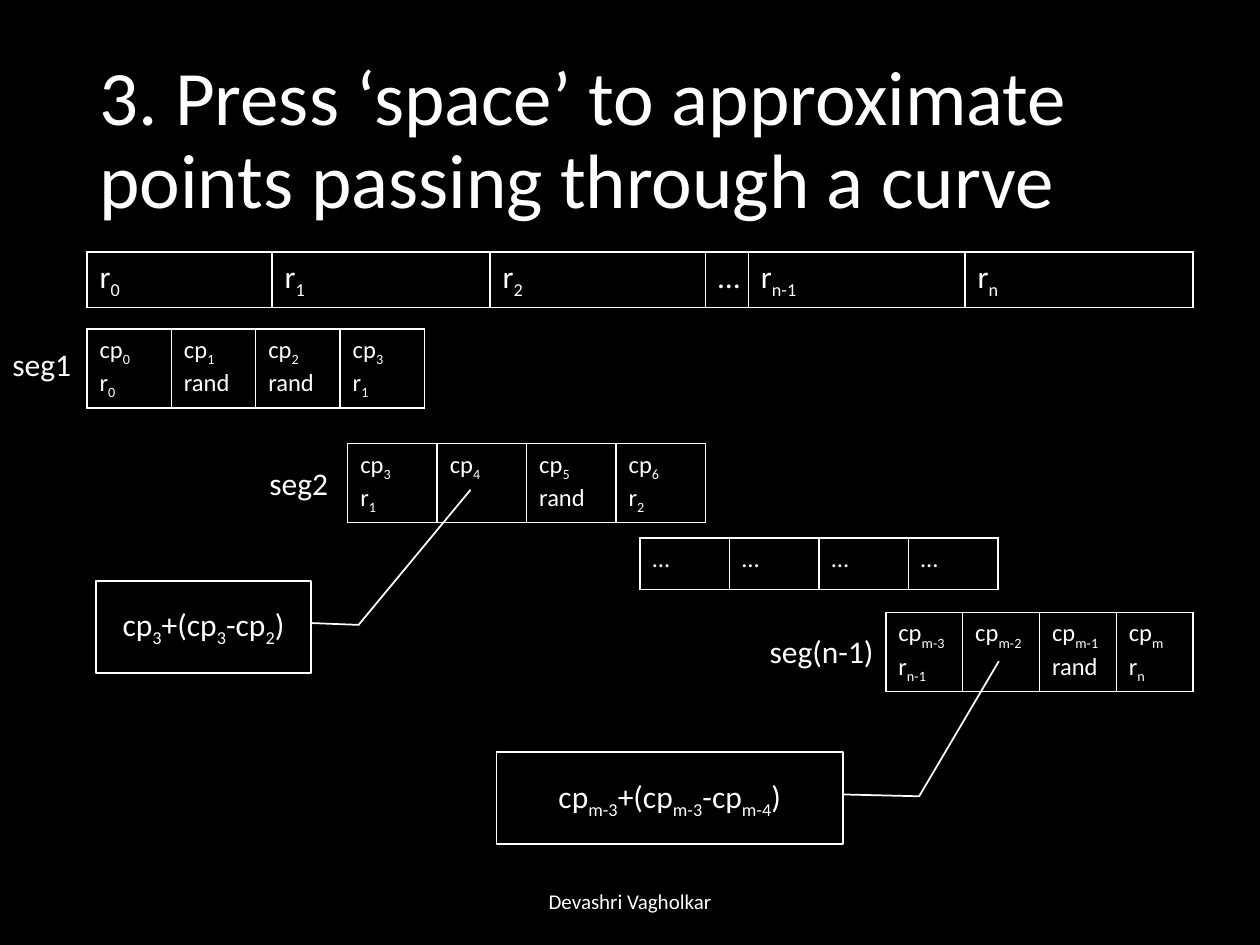
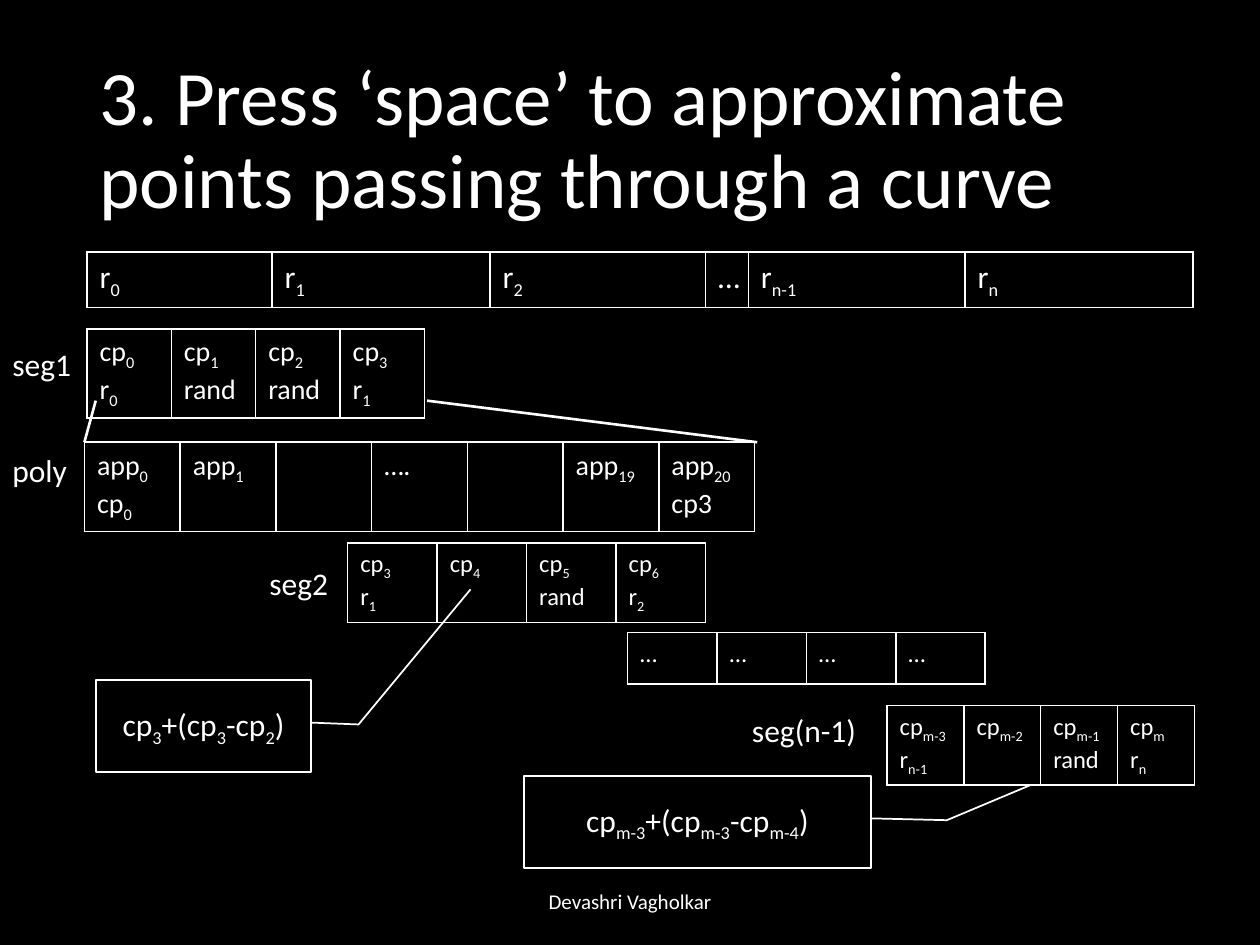
"""Builds two slides on approximating a curve with segments of control points."""
from lxml.etree import SubElement
from pptx import Presentation
from pptx.dml.color import RGBColor
from pptx.enum.shapes import MSO_CONNECTOR, MSO_SHAPE
from pptx.enum.text import MSO_ANCHOR, PP_ALIGN
from pptx.oxml.ns import qn
from pptx.util import Inches, Pt

COLORS = {"back": "000000", "ink": "FFFFFF"}
BACK, INK = [RGBColor.from_string(c) for c in COLORS.values()]
MIDDLE = {"vertical_anchor": MSO_ANCHOR.MIDDLE, "word_wrap": True}
STYLES = {
    "title": {"size": 44, "frame": MIDDLE, "para": {"line_spacing": 0.9}},
    "footer": {"size": 12, "frame": MIDDLE, "para": {"alignment": PP_ALIGN.CENTER}},
    "label": {"size": 18, "frame": {"word_wrap": False}, "para": {}},
    "callout": {"size": 18, "frame": MIDDLE, "para": {"alignment": PP_ALIGN.CENTER}},
    "big": {"size": 18, "frame": {}, "para": {}},
    "mid": {"size": 16, "frame": {}, "para": {}},
    "small": {"size": 14, "frame": {}, "para": {}},
}
COMMON = [
    ("title", 0.69, 0.4, 8.62, 1.45,
     "3. Press ‘space’ to approximate points passing through a curve"),
    ("footer", 3.31, 6.95, 3.38, 0.4, "Devashri Vagholkar"),
    ("label", 0, 2.69, 0.67, 0.4, "seg1"),
]
POINTS = ["r_0_", "r_1_", "r_2_", "…", "r_n-1_", "r_n_"]
WIDTHS = [1.47, 1.73, 1.71, 0.34, 1.72, 1.81]
SEG1 = ["cp_0_|r_0_", "cp_1_|rand", "cp_2_|rand", "cp_3_|r_1_"]
SEG2 = ["cp_3_|r_1_", "cp_4_", "cp_5_|rand", "cp_6_|r_2_"]
DOTS = ["…"] * 4
LAST = ["cp_m-3_|r_n-1_", "cp_m-2_", "cp_m-1_|rand", "cp_m_|r_n_"]
POLY = ["app_0_|cp_0_", "app_1_", "", "….", "", "app_19_", "app_20_|cp3"]
NEAR = "cp_3_+(cp_3_-cp_2_)"
FAR = "cp_m-3_+(cp_m-3_-cp_m-4_)"
SLIDES = [
    {
        "grids": [
            ("small", 0.69, 2.61, 0.67, 0.57, SEG1),
            ("small", 2.76, 3.52, 0.71, 0.57, SEG2),
            ("small", 7.03, 4.86, 0.61, 0.57, LAST),
            ("small", 5.08, 4.27, 0.71, 0.41, DOTS),
        ],
        "labels": [
            ("label", 2.04, 3.63, 0.67, 0.4, "seg2"),
            ("label", 6.01, 4.97, 1.04, 0.4, "seg(n-1)"),
        ],
        "callouts": [
            (0.76, 4.61, 1.71, NEAR, -0.99, 1.74),
            (3.94, 5.97, 2.75, FAR, -0.99, 1.45),
        ],
        "lines": [],
    },
    {
        "grids": [
            ("mid", 0.69, 2.61, 0.67, 0.63, SEG1),
            ("small", 2.76, 4.31, 0.71, 0.57, SEG2),
            ("small", 7.04, 5.6, 0.61, 0.57, LAST),
            ("small", 4.98, 5.02, 0.71, 0.41, DOTS),
            ("mid", 0.67, 3.51, 0.76, 0.63, POLY),
        ],
        "labels": [
            ("label", 2.04, 4.43, 0.67, 0.4, "seg2"),
            ("label", 5.87, 5.59, 1.04, 0.4, "seg(n-1)"),
            ("label", 0, 3.53, 0.64, 0.4, "poly"),
        ],
        "callouts": [
            (0.76, 5.4, 1.71, NEAR, -0.99, 1.74),
            (4.16, 6.16, 2.75, FAR, 0.1, 1.46),
        ],
        "lines": [(0.76, 3.18, 0.67, 3.51), (3.39, 3.18, 6.01, 3.51)],
    },
]


def write(frame, text, kind):
    style = STYLES[kind]
    for name, value in style["frame"].items():
        setattr(frame, name, value)
    for row, line in enumerate(text.split("|")):
        para = frame.add_paragraph() if row else frame.paragraphs[0]
        for name, value in style["para"].items():
            setattr(para, name, value)
        for spot, part in enumerate(line.split("_")):
            if not part:
                continue
            run = para.add_run()
            run.text = part
            look = {"size": Pt(style["size"]), "name": "Calibri", "bold": False}
            for name, value in look.items():
                setattr(run.font, name, value)
            run.font.color.rgb = INK
            if spot % 2:
                run.font._element.set("baseline", "-25000")


def grid(slide, kind, left, top, widths, height, cells):
    box = [Inches(n) for n in (left, top, sum(widths), height)]
    table = slide.shapes.add_table(1, len(cells), *box).table
    table.first_row = table.horz_banding = False
    for col, (width, text) in enumerate(zip(widths, cells)):
        table.columns[col].width = Inches(width)
        cell = table.cell(0, col)
        props = cell._tc.get_or_add_tcPr()
        for side in ("lnL", "lnR", "lnT", "lnB"):
            edge = SubElement(props, qn("a:" + side), w=str(Pt(1)))
            fill = SubElement(edge, qn("a:solidFill"))
            SubElement(fill, qn("a:srgbClr"), val=COLORS["ink"])
        cell.fill.background()
        write(cell.text_frame, text, kind)


deck = Presentation()
deck.slide_width, deck.slide_height = Inches(10), Inches(7.5)

for plan in SLIDES:
    slide = deck.slides.add_slide(deck.slide_layouts[6])
    slide.background.fill.solid()
    slide.background.fill.fore_color.rgb = BACK

    grid(slide, "big", 0.69, 2, WIDTHS, 0.41, POINTS)
    for kind, left, top, width, height, cells in plan["grids"]:
        grid(slide, kind, left, top, [width] * len(cells), height, cells)

    for left, top, width, text, *tip in plan["callouts"]:
        box = [Inches(n) for n in (left, top, width, 0.73)]
        note = slide.shapes.add_shape(MSO_SHAPE.LINE_CALLOUT_2, *box)
        for spot, value in enumerate([0.46, 1, 0.48, 1.22, *tip]):
            note.adjustments[spot] = value
        note.shadow.inherit = False
        note.fill.solid()
        note.fill.fore_color.rgb = BACK
        note.line.color.rgb = INK
        note.line.width = Pt(1)
        write(note.text_frame, text, "callout")

    for kind, *box, text in COMMON + plan["labels"]:
        label = slide.shapes.add_textbox(*[Inches(n) for n in box])
        write(label.text_frame, text, kind)

    for ends in plan["lines"]:
        line = slide.shapes.add_connector(
            MSO_CONNECTOR.STRAIGHT, *[Inches(n) for n in ends])
        line.line.color.rgb = INK
        line.line.width = Pt(1.5)
        SubElement(line._element.spPr, qn("a:effectLst"))

deck.save("out.pptx")
